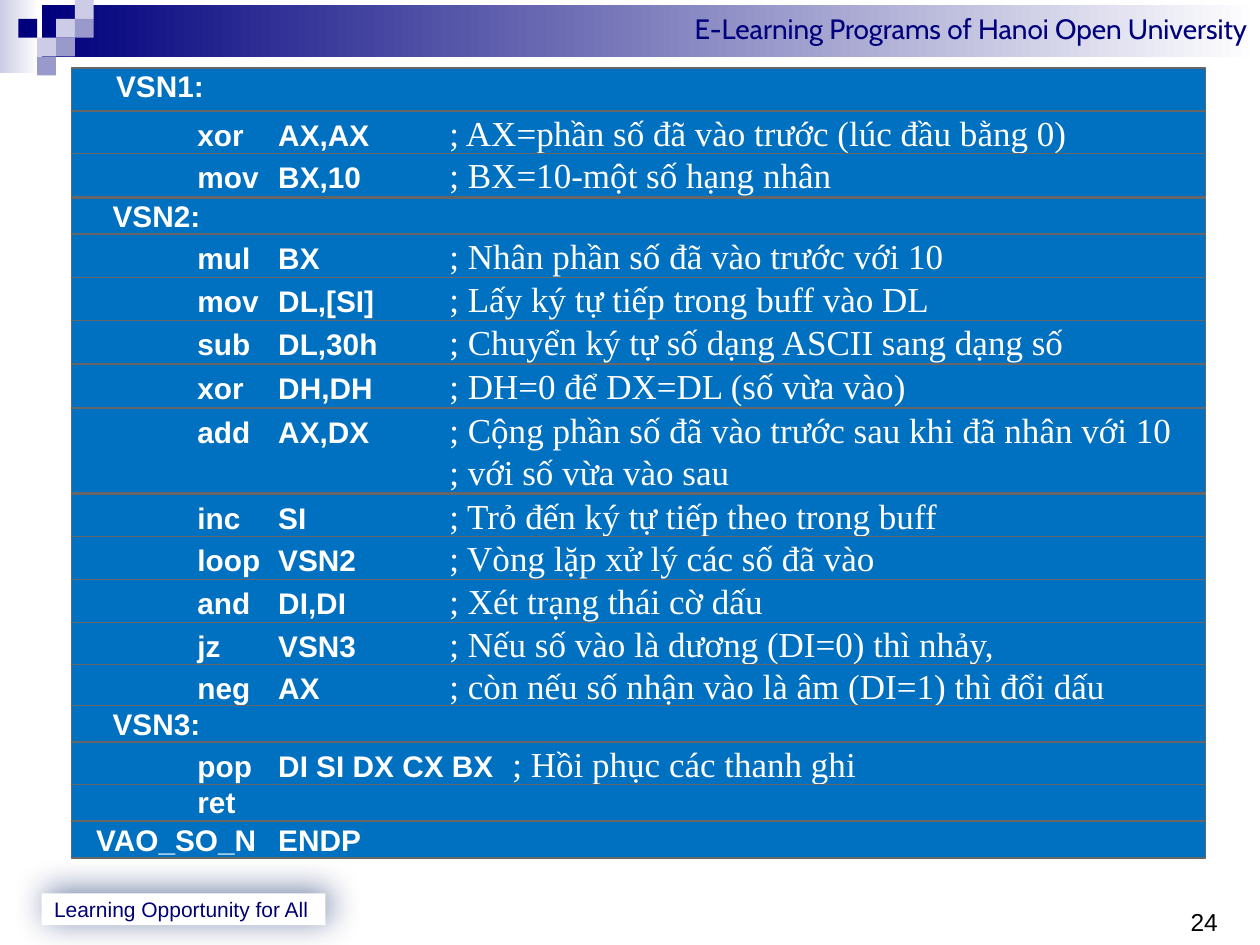
from pptx import Presentation
from pptx.dml.color import RGBColor
from pptx.enum.shapes import MSO_SHAPE as Shape
from pptx.enum.text import MSO_ANCHOR as Anchor, PP_ALIGN as Align
from pptx.oxml import parse_xml
from pptx.oxml.ns import nsdecls, qn
from pptx.util import Cm, Pt

NAVY, LILAC, VIOLET = "00007D", "CCCCE6", "9999CC"
WHITE, BLUE, GREY = "FFFFFF", "0070C0", "666666"
UNIT = 0.38
SQUARES = [
    (2, 1, LILAC), (3, 0, LILAC), (3, 1, VIOLET), (1, 2, LILAC),
    (0, 1, NAVY), (2, 2, VIOLET), (1, 3, VIOLET),
]
TABS = (2.54, 4.17, 7.62)
WIDE_TABS = (2.54, 4.17, 8.89)
CODE_ROWS = [
    (1.37, 0.87, TABS, [("VSN1:", "", "      ")]),
    (2.24, 0.87, TABS, [("   \txor\tAX,AX\t", "; AX=phần số đã vào trước (lúc đầu bằng 0)")]),
    (3.1, 0.87, TABS, [("   \tmov \tBX,10\t", "; BX=10-một số hạng nhân")]),
    (3.99, 0.74, TABS, [("     VSN2:", "")]),
    (4.72, 0.87, TABS, [("   \tmul\tBX\t", "; Nhân phần số đã vào trước với 10")]),
    (5.6, 0.87, TABS, [("   \tmov\tDL,[SI]\t", "; Lấy ký tự tiếp trong buff vào DL")]),
    (6.46, 0.87, TABS, [("  \tsub\tDL,30h\t", "; Chuyển ký tự số dạng ASCII sang dạng số")]),
    (7.34, 0.87, TABS, [("   \txor\tDH,DH\t", "; DH=0 để DX=DL (số vừa vào)")]),
    (8.23, 1.7, TABS, [
        ("   \tadd\tAX,DX\t", "; Cộng phần số đã vào trước sau khi đã nhân với 10"),
        ("\t\t\t", "; với số vừa vào sau"),
    ]),
    (9.96, 0.87, TABS, [("   \tinc\tSI\t", "; Trỏ đến ký tự tiếp theo trong buff")]),
    (10.82, 0.87, TABS, [("   \tloop\tVSN2\t", "; Vòng lặp xử lý các số đã vào")]),
    (11.68, 0.87, TABS, [("   \tand\tDI,DI\t", "; Xét trạng thái cờ dấu")]),
    (12.55, 0.87, TABS, [("  \tjz\tVSN3\t", "; Nếu số vào là dương (DI=0) thì nhảy,")]),
    (13.39, 0.87, TABS, [("   \tneg\tAX\t", "; còn nếu số nhận vào là âm (DI=1) thì đổi dấu")]),
    (14.23, 0.74, TABS, [("     VSN3:", "")]),
    (14.96, 0.87, WIDE_TABS, [("   \tpop\tDI SI DX CX BX\t", "; Hồi phục các thanh ghi")]),
    (15.81, 0.74, TABS, [("   \tret", "")]),
    (16.56, 0.74, TABS, [("   VAO_SO_N\tENDP", "")]),
]


def color(value):
    return RGBColor.from_string(value)


class Painter:
    code_font, code_size = "Arial", 17
    note_font, note_size = "Times New Roman", 20

    def __init__(self, page):
        self.page = page

    def rectangle(self, left, top, width, height, fill, line=None):
        box = self.page.shapes.add_shape(
            Shape.RECTANGLE, Cm(left), Cm(top), Cm(width), Cm(height))
        box.shadow.inherit = False
        box.fill.solid()
        box.fill.fore_color.rgb = color(fill)
        if line:
            box.line.color.rgb = color(line)
            box.line.width = Pt(0.75)
        else:
            box.line.fill.background()
        return box

    def fade(self, left, top, width, height, start):
        box = self.rectangle(left, top, width, height, start)
        box.fill.gradient()
        box.fill.gradient_angle = 0
        for stop, place, value in zip(box.fill.gradient_stops, (0, 1), (start, WHITE)):
            stop.position = place
            stop.color.rgb = color(value)
        return box

    def style(self, font, name, size, value, bold=False):
        font.name, font.size, font.bold = name, Pt(size), bold
        font.color.rgb = color(value)

    def label(self, box, text, size, font, value, align=Align.LEFT, anchor=Anchor.TOP):
        box.text_frame.word_wrap = True
        box.text_frame.vertical_anchor = anchor
        paragraph = box.text_frame.paragraphs[0]
        paragraph.text = text
        paragraph.alignment = align
        self.style(paragraph.font, font, size, value)

    def glow(self, box):
        effects = box._element.spPr.find(qn("a:effectLst"))
        effects.append(parse_xml(
            f'<a:outerShdw {nsdecls("a")} blurRad="{Pt(19)}" dist="{Pt(3)}" dir="18900000">'
            '<a:srgbClr val="002060"><a:alpha val="56000"/></a:srgbClr></a:outerShdw>'))

    def tabs(self, paragraph, stops):
        marks = "".join(f'<a:tab pos="{Cm(stop)}" algn="l"/>' for stop in stops)
        paragraph._p.get_or_add_pPr().append(
            parse_xml(f'<a:tabLst {nsdecls("a")}>{marks}</a:tabLst>'))

    def span(self, paragraph, text, font, size, bold=False):
        if text:
            span = paragraph.add_run()
            span.text = text
            self.style(span.font, font, size, WHITE, bold)

    def code_row(self, top, height, stops, lines):
        box = self.rectangle(1.44, top, 22.86, height, BLUE, GREY)
        frame = box.text_frame
        frame.word_wrap = True
        frame.vertical_anchor = Anchor.TOP
        frame.margin_left = frame.margin_right = frame.margin_top = frame.margin_bottom = 0
        for index, (code, note, *lead) in enumerate(lines):
            paragraph = frame.add_paragraph() if index else frame.paragraphs[0]
            self.tabs(paragraph, stops)
            paragraph.alignment = Align.LEFT
            self.span(paragraph, "".join(lead), self.note_font, self.code_size)
            self.span(paragraph, code, self.code_font, self.code_size, True)
            self.span(paragraph, note, self.note_font, self.note_size)


def main():
    deck = Presentation()
    deck.slide_width, deck.slide_height = Cm(25.4), Cm(19.05)
    page = deck.slides.add_slide(deck.slide_layouts[6])
    painter = Painter(page)

    painter.fade(0, 0, 0.79, 1.47, LILAC)
    band = painter.fade(0.84, 0.1, 24.56, 1.06, NAVY)
    painter.label(band, "E-Learning Programs of Hanoi Open University",
                  16, "Cabin", NAVY, Align.RIGHT)
    for column, row, fill in SQUARES:
        painter.rectangle(0.37 + column * UNIT, row * UNIT, UNIT, UNIT, fill)

    motto = painter.rectangle(0.84, 18.01, 5.72, 0.64, WHITE)
    painter.glow(motto)
    painter.label(motto, "Learning Opportunity for All", 12, "Arial", "000072",
                  anchor=Anchor.MIDDLE)

    number = page.shapes.add_textbox(Cm(24), Cm(18.16), Cm(0.76), Cm(0.76))
    number.text_frame.margin_left = number.text_frame.margin_right = 0
    painter.label(number, "24", 14, "Arial", "000000")

    for row in CODE_ROWS:
        painter.code_row(*row)

    deck.save("out.pptx")


if __name__ == "__main__":
    main()
